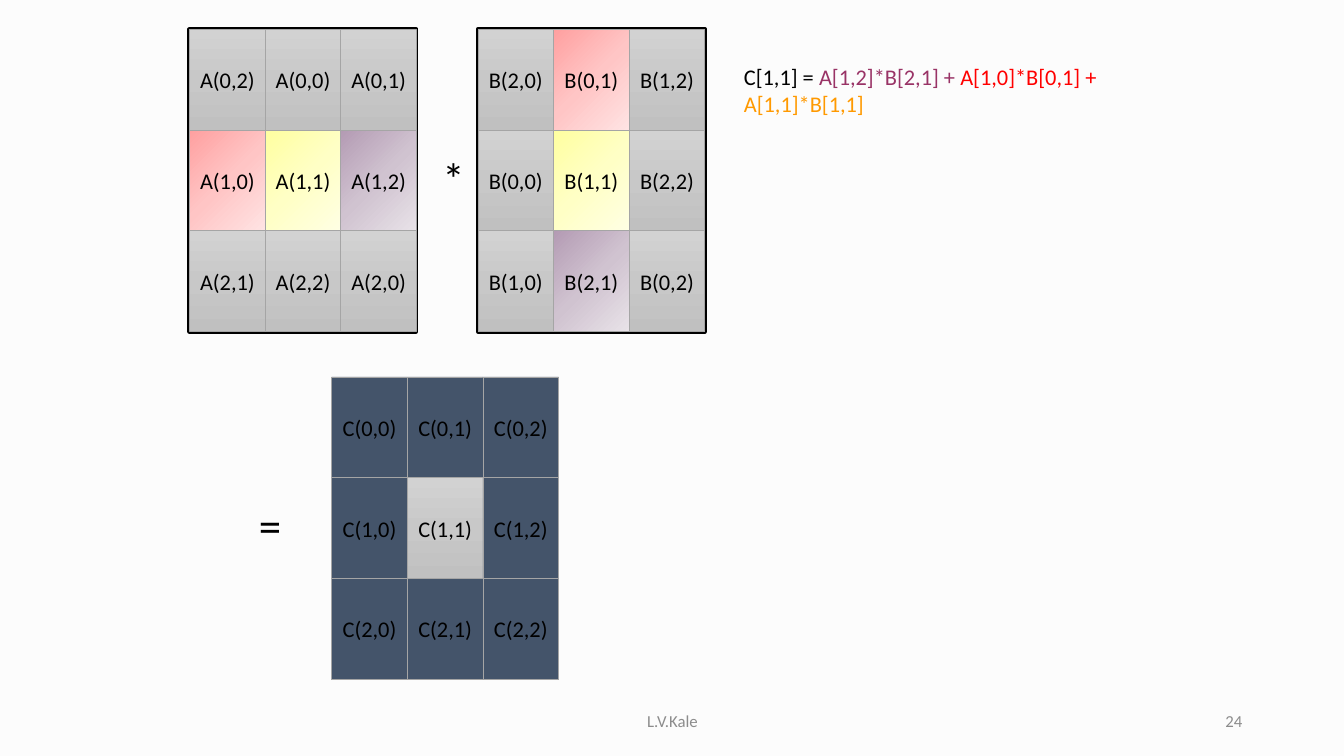
"""Build a slide showing a skewed 3x3 block matrix product."""
from copy import deepcopy
from dataclasses import dataclass, field

from pptx import Presentation, util as u
from pptx.dml.color import RGBColor
from pptx.enum import shapes, text
from pptx.oxml.ns import qn

FONT = "Calibri"
BLACK, FOOTER_GREY, CELL_LINE = "000000", "8C8C8C", "A5A5A5"
CELL_W, CELL_H, SIZE = 0.75, 1, 3
LEFT, CENTER, RIGHT = text.PP_ALIGN.LEFT, text.PP_ALIGN.CENTER, text.PP_ALIGN.RIGHT
TOP, MIDDLE = text.MSO_ANCHOR.TOP, text.MSO_ANCHOR.MIDDLE


@dataclass(frozen=True)
class Paint:
    """Gradient colours at 0, 50 and 100 percent, or one solid colour."""
    colors: tuple[str, ...]
    angle: int = 45


GREY = Paint(("D2D2D2", "C8C8C8", "C0C0C0"), 90)
RED = Paint(("FFA0A0", "FFC5C5", "FFE3E3"))
YELLOW = Paint(("FFFFA0", "FFFFC5", "FFFFE3"))
PURPLE = Paint(("B49BB4", "D0C3D0", "E8E2E8"))
NAVY = Paint(("44546A",))
WHITE = Paint(("FFFFFF",))


@dataclass(frozen=True)
class Matrix:
    """A named block matrix with its indices listed row by row."""
    name: str
    left: float
    top: float
    indices: str
    base: Paint
    frame: Paint
    frame_line: tuple[str, float]
    marked: dict[str, Paint] = field(default_factory=dict)


@dataclass(frozen=True)
class Label:
    """A text box made of (text, colour) runs."""
    box: tuple[float, float, float, float]
    runs: tuple[tuple[str, str], ...]
    size: int
    align: text.PP_ALIGN = LEFT
    anchor: text.MSO_ANCHOR = TOP


MATRICES = (
    Matrix("A", 1.88, 0.29, "0,2 0,0 0,1 1,0 1,1 1,2 2,1 2,2 2,0", GREY, WHITE,
           (BLACK, 3), {"1,0": RED, "1,1": YELLOW, "1,2": PURPLE}),
    Matrix("B", 4.74, 0.29, "2,0 0,1 1,2 0,0 1,1 2,2 1,0 2,1 0,2", GREY, WHITE,
           (BLACK, 3), {"0,1": RED, "1,1": YELLOW, "2,1": PURPLE}),
    Matrix("C", 3.29, 3.74, "0,0 0,1 0,2 1,0 1,1 1,2 2,0 2,1 2,2", NAVY, GREY,
           (CELL_LINE, 0.5), {"1,1": GREY}),
)

LABELS = (
    Label((7.28, 0.58, 4.29, 0.64), (
        ("C[1,1] = ", BLACK), ("A[1,2]*B[2,1] + ", "993366"),
        ("A[1,0]*B[0,1] + ", "FF0000"), ("A[1,1]*B[1,1]", "FF9900")), 16),
    Label((4.29, 1.45, 0.26, 0.64), (("*", BLACK),), 32),
    Label((2.47, 4.89, 0.26, 0.64), (("=", BLACK),), 32),
    Label((4.42, 6.95, 4.5, 0.4), (("L.V.Kale", FOOTER_GREY),), 12, CENTER, MIDDLE),
    Label((9.42, 6.95, 3, 0.4), (("24", FOOTER_GREY),), 12, RIGHT, MIDDLE),
)


def rgb(value: str) -> RGBColor:
    """Turn a hex string into a colour."""
    return RGBColor.from_string(value)


def paint_shape(sp, paint: Paint) -> None:
    """Fill a shape with a solid colour or an evenly spaced gradient."""
    if len(paint.colors) == 1:
        sp.fill.solid()
        sp.fill.fore_color.rgb = rgb(paint.colors[0])
        return
    sp.fill.gradient()
    sp.fill.gradient_angle = 360 - paint.angle
    stop_list = next(sp.element.iter(qn("a:gsLst")))
    while len(stop_list) < len(paint.colors):
        stop_list.append(deepcopy(stop_list[-1]))
    for i, (stop, color) in enumerate(zip(sp.fill.gradient_stops, paint.colors)):
        stop.color.rgb = rgb(color)
        stop.position = i / (len(paint.colors) - 1)


def add_box(parent, box: tuple[float, ...], paint: Paint, line: tuple[str, float]):
    """Add a filled and outlined rectangle."""
    sp = parent.add_shape(shapes.MSO_SHAPE.RECTANGLE, *map(u.Inches, box))
    sp.shadow.inherit = False
    paint_shape(sp, paint)
    sp.line.color.rgb = rgb(line[0])
    sp.line.width = u.Pt(line[1])
    return sp


def write(sp, runs: tuple[tuple[str, str], ...], size: int, align: text.PP_ALIGN,
          anchor: text.MSO_ANCHOR, wrap: bool) -> None:
    """Write coloured runs as the single paragraph of a shape."""
    tf = sp.text_frame
    tf.word_wrap = wrap
    tf.vertical_anchor = anchor
    p = tf.paragraphs[0]
    p.alignment = align
    for words, color in runs:
        r = p.add_run()
        r.text = words
        r.font.name = FONT
        r.font.size = u.Pt(size)
        r.font.color.rgb = rgb(color)


def add_matrix(s, m: Matrix) -> None:
    """Draw the frame of a matrix and its grouped cells."""
    frame = (m.left, m.top, SIZE * CELL_W, SIZE * CELL_H)
    add_box(s.shapes, frame, m.frame, m.frame_line)
    cells = s.shapes.add_group_shape().shapes
    for i, index in enumerate(m.indices.split()):
        row, col = divmod(i, SIZE)
        box = (m.left + col * CELL_W, m.top + row * CELL_H, CELL_W, CELL_H)
        sp = add_box(cells, box, m.marked.get(index, m.base), (CELL_LINE, 0.5))
        write(sp, ((f"{m.name}({index})", BLACK),), 16, CENTER, MIDDLE, False)


def add_label(s, label: Label) -> None:
    """Draw a text box."""
    sp = s.shapes.add_textbox(*map(u.Inches, label.box))
    write(sp, label.runs, label.size, label.align, label.anchor, True)


def main() -> None:
    """Build and save the slide."""
    prs = Presentation()
    prs.slide_width, prs.slide_height = u.Inches(13.33), u.Inches(7.5)
    s = prs.slides.add_slide(prs.slide_layouts[6])
    s.background.fill.solid()
    s.background.fill.fore_color.rgb = rgb("FCFCFC")
    for m in MATRICES:
        add_matrix(s, m)
    for label in LABELS:
        add_label(s, label)
    prs.save("out.pptx")


if __name__ == "__main__":
    main()
